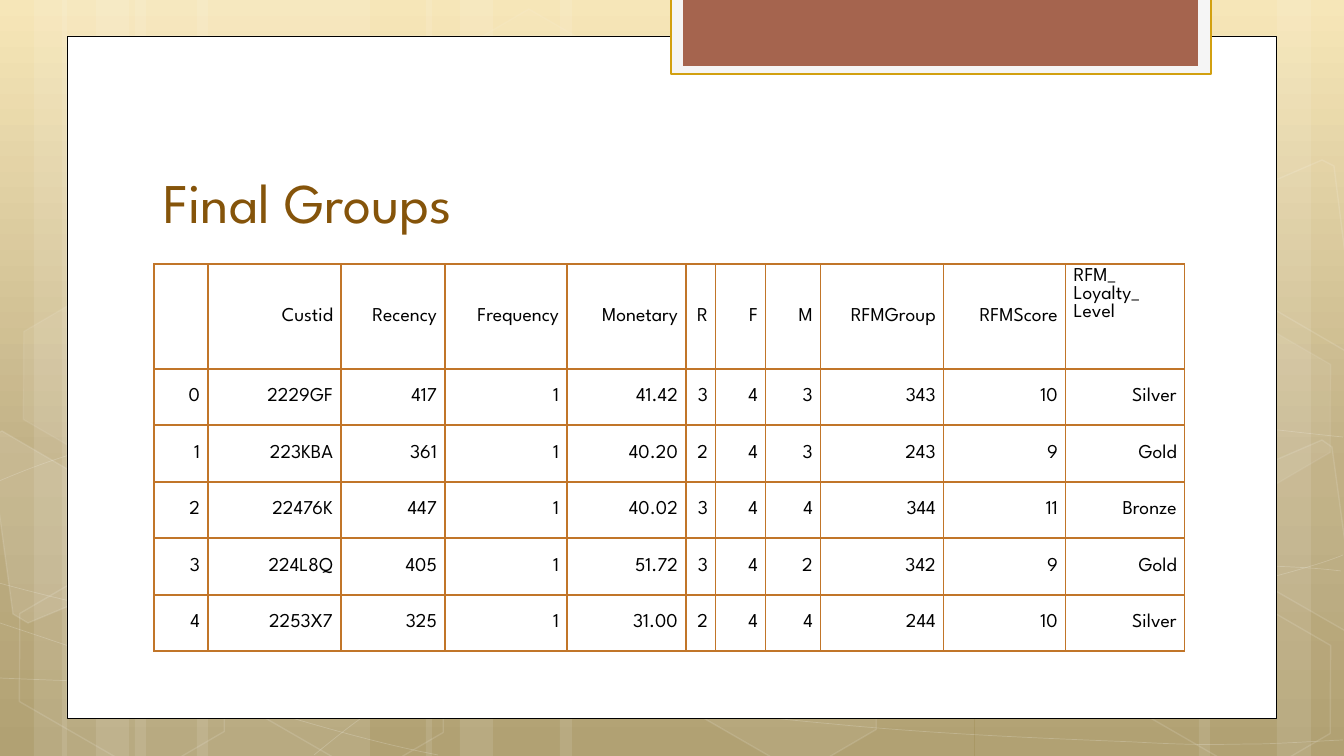
from copy import deepcopy
from pptx import Presentation
from pptx.dml.color import RGBColor as Rgb
from pptx.enum.shapes import MSO_SHAPE as Kind
from pptx.enum.text import MSO_ANCHOR as Anchor, PP_ALIGN as Align
from pptx.oxml import parse_xml
from pptx.oxml.ns import nsdecls, qn
from pptx.util import Pt

PX = 914400 / 100.8
FONT = "League Spartan"
HEX = {"white": "FFFFFF", "black": "000000", "pale": "F5F5F5", "gold": "D2A010",
       "rust": "A5644E", "brown": "85540A", "grid": "C17529",
       "top": "F6E4B0", "mid": "BAA878", "low": "A99764"}


def emu(*nums):
    return [round(n * PX) for n in nums]


def paint(shape, fill=None, fade=100, line=None, width=1, dim=100):
    shape.shadow.inherit = False
    for part, name, part_fade in ((shape.fill, fill, fade), (shape.line.fill, line, dim)):
        if name is None:
            part.background()
            continue
        part.solid()
        part.fore_color.rgb = Rgb.from_string(HEX[name])
        if part_fade < 100:
            host = shape.element.spPr
            if part is not shape.fill:
                host = host.find(qn("a:ln"))
            color = host.find(qn("a:solidFill"))[0]
            color.append(parse_xml(f'<a:alpha {nsdecls("a")} val="{part_fade * 1000}"/>'))
    if line:
        shape.line.width = Pt(width)


deck = Presentation()
deck.slide_width, deck.slide_height = emu(1344, 756)
slide = deck.slides.add_slide(deck.slide_layouts[5])
shapes = slide.shapes

back = slide.background.fill
back.gradient()
back.gradient_angle = 270
stops = slide.element.find(".//" + qn("a:gsLst"))
stops.append(deepcopy(stops[-1]))
for stop, name, pos in zip(back.gradient_stops, ("top", "mid", "low"), (0, 0.62, 1)):
    stop.color.rgb = Rgb.from_string(HEX[name])
    stop.position = pos

bands = [(135, 235), (0, 67), (34, 112), (197, 235), (62, 67), (96, 112),
         (975, 235), (1277, 67), (1199, 112), (560, 414), (426, 67), (460, 112)]
for left, wide in bands:
    band = shapes.add_shape(Kind.RECTANGLE, *emu(left, 0, wide, 756))
    paint(band, "white", 10)

curves = [
    [(-1, 678), (72, 681), (144, 684), (245, 683), (346, 682), (470, 680), (604, 670),
     (739, 660), (929, 641), (1053, 622), (1176, 603), (1302, 572), (1343, 555)],
    [(-1, 481), (37, 465), (76, 450), (152, 434), (229, 419), (337, 397), (456, 390),
     (576, 383), (720, 382), (868, 390), (1016, 398), (1262, 429), (1343, 437)],
    [(-3, 622), (162, 677), (322, 733), (438, 755)],
    [(-1, 583), (40, 594), (83, 605), (161, 621), (239, 636), (356, 661), (468, 678),
     (581, 696), (722, 714), (833, 724), (945, 735), (1063, 739), (1135, 742),
     (1206, 746), (1224, 744), (1259, 744), (1293, 743), (1318, 741), (1343, 740)],
    [(314, 755), (339, 735), (362, 715), (395, 697), (427, 678), (473, 658), (510, 644),
     (547, 630), (571, 624), (620, 614), (669, 604), (760, 590), (806, 583),
     (854, 576), (861, 576), (903, 574), (944, 570), (1010, 568), (1056, 566),
     (1103, 565), (1180, 566), (1269, 566), (1294, 567), (1316, 568), (1341, 571)],
]
for knots in curves:
    pen = shapes.build_freeform(*knots[0], scale=PX)
    pen.add_line_segments(knots[1:], close=False)
    curve = pen.convert_to_shape()
    legs = list(curve.element.iter(qn("a:lnTo")))
    for i in range(0, len(legs), 3):
        bend = parse_xml(f'<a:cubicBezTo {nsdecls("a")}/>')
        legs[i].addprevious(bend)
        for leg in legs[i:i + 3]:
            bend.append(leg[0])
            leg.getparent().remove(leg)
    paint(curve, line="white", width=0.5, dim=20)

cells = [(437, 36, 4, 8), (656, 594, 6, 12), (4, 596, 0, 12), (8, 314, 7, 8),
         (223, 597, 0, 12), (1110, 598, 0, 12), (1110, 317, 7, 8)]
for left, top, fade, dim in cells:
    cell = shapes.add_shape(Kind.HEXAGON, *emu(left, top, 236, 153))
    cell.adjustments[0] = 0.285
    cell.rotation = 30
    paint(cell, "white" if fade else None, fade, "white", 1, dim)

shards = [
    (10, [(-11, 437), (2, 431), (105, 491), (117, 586), (28, 623), (13, 614)]),
    (4, [(1234, 478), (1322, 440), (1332, 447), (1357, 630), (1349, 633), (1246, 574)]),
    (0, [(1234, 198), (1322, 160), (1334, 166), (1357, 349), (1349, 353), (1246, 293)]),
]
for fade, dots in shards:
    pen = shapes.build_freeform(*dots[0], scale=PX)
    pen.add_line_segments(dots[1:], close=True)
    paint(pen.convert_to_shape(), "white" if fade else None, fade, "white", 1, 12)

panels = [((67, 36, 1209, 682), "white", "black", 0.5),
          ((671, -2, 540, 76), "pale", "gold", 1),
          ((683, -2, 515, 68), "rust", None, 0)]
for box, fill, line, width in panels:
    panel = shapes.add_shape(Kind.RECTANGLE, *emu(*box))
    paint(panel, fill, line=line, width=width)

title = shapes.title
shapes.element.append(title.element)
title.left, title.top, title.width, title.height = emu(153, 114, 1032, 126)
frame = title.text_frame
frame.vertical_anchor = Anchor.BOTTOM
para = frame.paragraphs[0]
para.alignment = Align.LEFT
run = para.add_run()
run.text = "Final Groups"
run.font.size = Pt(40)
run.font.name = FONT
run.font.color.rgb = Rgb.from_string(HEX["brown"])

rows = [
    ["", "Custid", "Recency", "Frequency", "Monetary", "R", "F", "M",
     "RFMGroup", "RFMScore", "RFM_\nLoyalty_\nLevel"],
    ["0", "2229GF", "417", "1", "41.42", "3", "4", "3", "343", "10", "Silver"],
    ["1", "223KBA", "361", "1", "40.20", "2", "4", "3", "243", "9", "Gold"],
    ["2", "22476K", "447", "1", "40.02", "3", "4", "4", "344", "11", "Bronze"],
    ["3", "224L8Q", "405", "1", "51.72", "3", "4", "2", "342", "9", "Gold"],
    ["4", "2253X7", "325", "1", "31.00", "2", "4", "4", "244", "10", "Silver"],
]
wides = [54, 133, 104, 122, 119, 30, 50, 55, 123, 122, 119]
highs = [105, 56, 57, 56, 57, 56]
table = shapes.add_table(len(rows), len(wides),
                         *emu(154, 264, sum(wides), sum(highs))).table
table.first_row = table.horz_banding = False
for col, wide in zip(table.columns, emu(*wides)):
    col.width = wide
for row, high in zip(table.rows, emu(*highs)):
    row.height = high
for r, words in enumerate(rows):
    for c, word in enumerate(words):
        cell = table.cell(r, c)
        props = cell._tc.get_or_add_tcPr()
        for side in "LRTB":
            props.append(parse_xml(
                f'<a:ln{side} {nsdecls("a")} w="12700"><a:solidFill>'
                f'<a:srgbClr val="{HEX["grid"]}"/></a:solidFill></a:ln{side}>'))
        cell.fill.background()
        cell.margin_left, cell.margin_right, cell.margin_top, cell.margin_bottom = emu(8, 8, 4, 4)
        level = "\n" in word
        cell.vertical_anchor = Anchor.TOP if level else Anchor.MIDDLE
        frame = cell.text_frame
        for n, text in enumerate(word.split("\n")):
            para = frame.add_paragraph() if n else frame.paragraphs[0]
            para.alignment = Align.LEFT if level else Align.RIGHT
            if text:
                run = para.add_run()
                run.text = text
                run.font.size = Pt(14)
                run.font.name = FONT
                run.font.color.rgb = Rgb.from_string(HEX["black"])

deck.save("out.pptx")
